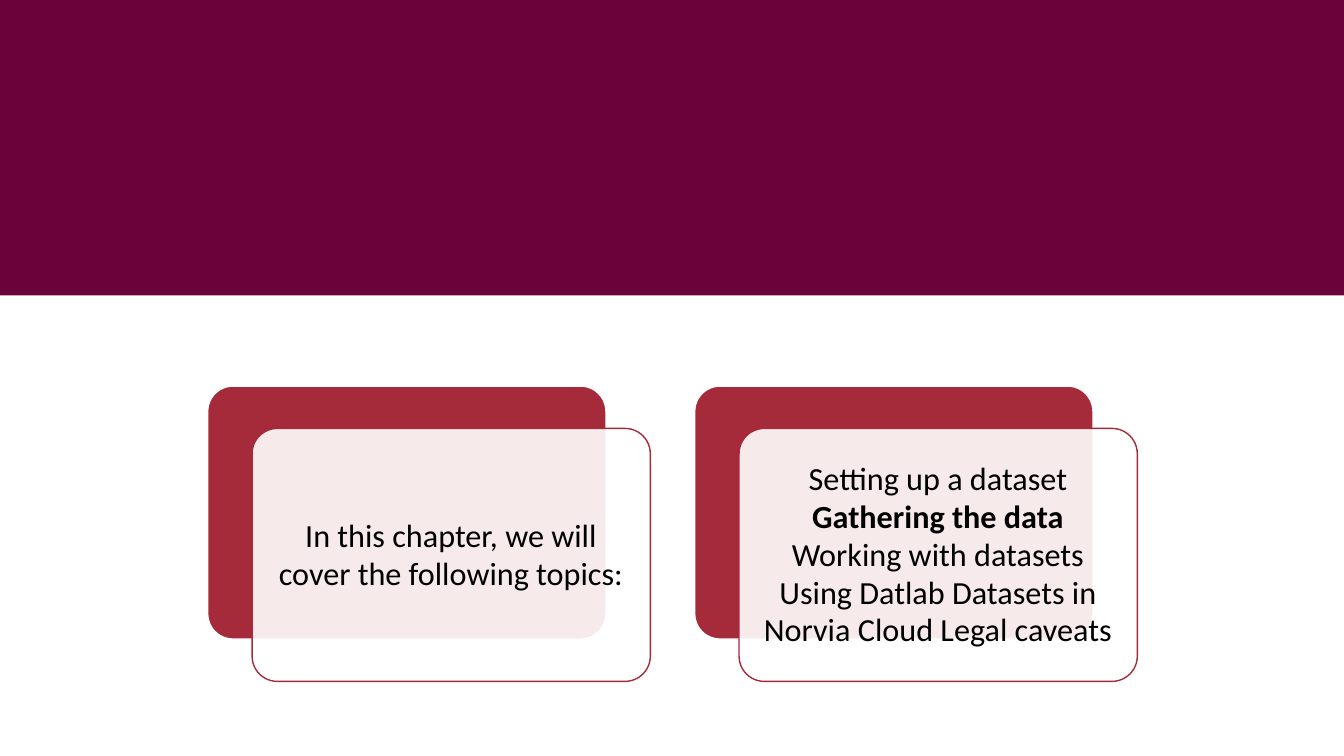
from lxml import etree
from pptx import Presentation
from pptx import util as u
from pptx.dml import color
from pptx.enum import shapes, text
from pptx.oxml import ns

COLORS = {"band": "6B0239", "accent": "A52B3A", "white": "FFFFFF", "ink": "000000"}
INTRO = [("In this chapter, we will cover the following topics:", False)]
TOPICS = [
    ("Setting up a dataset", False),
    ("Gathering the data", True),
    ("Working with datasets", False),
    ("Using Datlab Datasets in Norvia Cloud Legal caveats", False),
]


def rgb(name):
    """Return the named palette colour."""
    return color.RGBColor.from_string(COLORS[name])


def add_panel(slide, kind, box, fill, line=None):
    """Add a filled shape in a box given in inches."""
    panel = slide.shapes.add_shape(kind, *map(u.Inches, box))
    panel.shadow.inherit = False
    panel.fill.solid()
    panel.fill.fore_color.rgb = rgb(fill)
    if line:
        panel.line.color.rgb = rgb(line)
        panel.line.width = u.Pt(1)
    else:
        panel.line.fill.background()
    return panel


def set_opacity(panel, percent):
    """Make the solid fill of a panel partly transparent."""
    fill_color = panel.fill._xPr.find(ns.qn("a:solidFill"))[0]
    etree.SubElement(fill_color, ns.qn("a:alpha"), val=str(percent * 1000))


def write_lines(card, lines):
    """Write centred lines, some of them bold, on a card."""
    frame = card.text_frame
    frame.word_wrap = True
    frame.vertical_anchor = text.MSO_ANCHOR.MIDDLE
    frame.margin_left = frame.margin_right = u.Inches(0.17)
    frame.margin_top = frame.margin_bottom = u.Inches(0.17)
    for index, (wording, bold) in enumerate(lines):
        line = frame.paragraphs[0] if index == 0 else frame.add_paragraph()
        line.text = wording
        line.alignment = text.PP_ALIGN.CENTER
        line.line_spacing = 0.98
        line.font.name = "Calibri"
        line.font.size = u.Pt(23)
        line.font.bold = bold
        line.font.color.rgb = rgb("ink")


def add_topic_card(slide, box, lines):
    """Add a red backing plate with an offset translucent text card."""
    left, top, width, height = box
    rounded = shapes.MSO_SHAPE.ROUNDED_RECTANGLE
    plate = add_panel(slide, rounded, box, "accent", "white")
    card_box = (left + 0.44, top + 0.42, width, height)
    card = add_panel(slide, rounded, card_box, "white", "accent")
    for panel in (plate, card):
        panel.adjustments[0] = 0.1
    set_opacity(card, 90)
    write_lines(card, lines)


def build_topics_slide(deck):
    """Build the chapter overview with its header band and two cards."""
    slide = deck.slides.add_slide(deck.slide_layouts[6])
    add_panel(slide, shapes.MSO_SHAPE.RECTANGLE, (0, 0, 13.33, 2.93), "band")
    for column, lines in enumerate((INTRO, TOPICS)):
        add_topic_card(slide, (2.06 + column * 4.83, 3.83, 3.95, 2.51), lines)


def main():
    """Create and save the presentation."""
    deck = Presentation()
    deck.slide_width = u.Inches(13.33)
    deck.slide_height = u.Inches(7.5)
    build_topics_slide(deck)
    deck.save("out.pptx")


if __name__ == "__main__":
    main()
